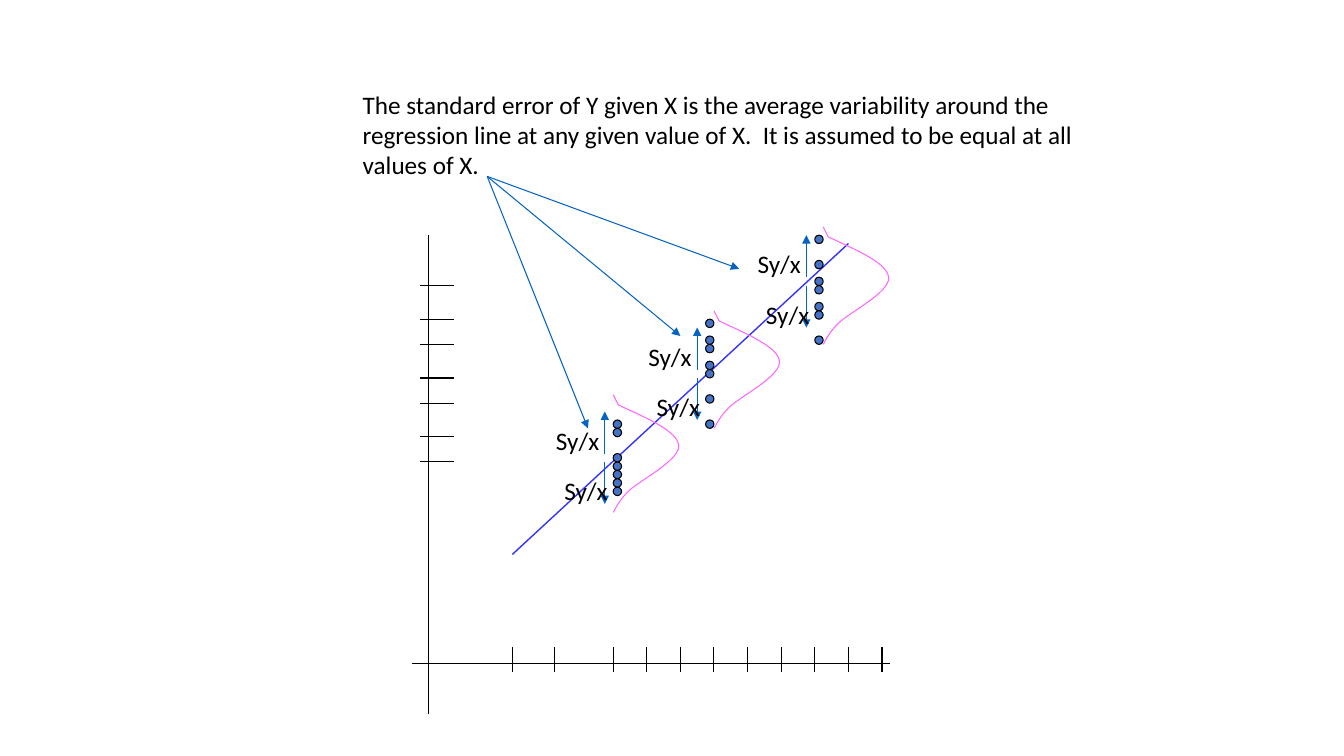
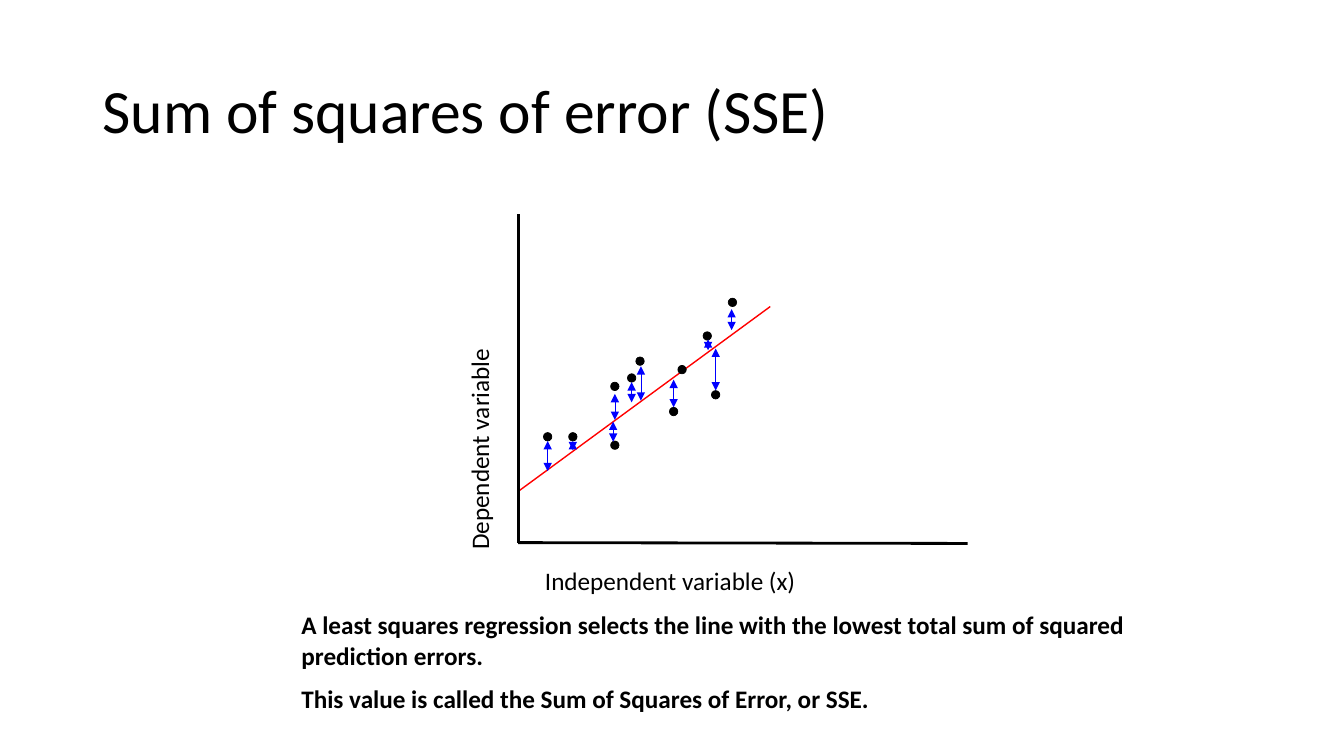
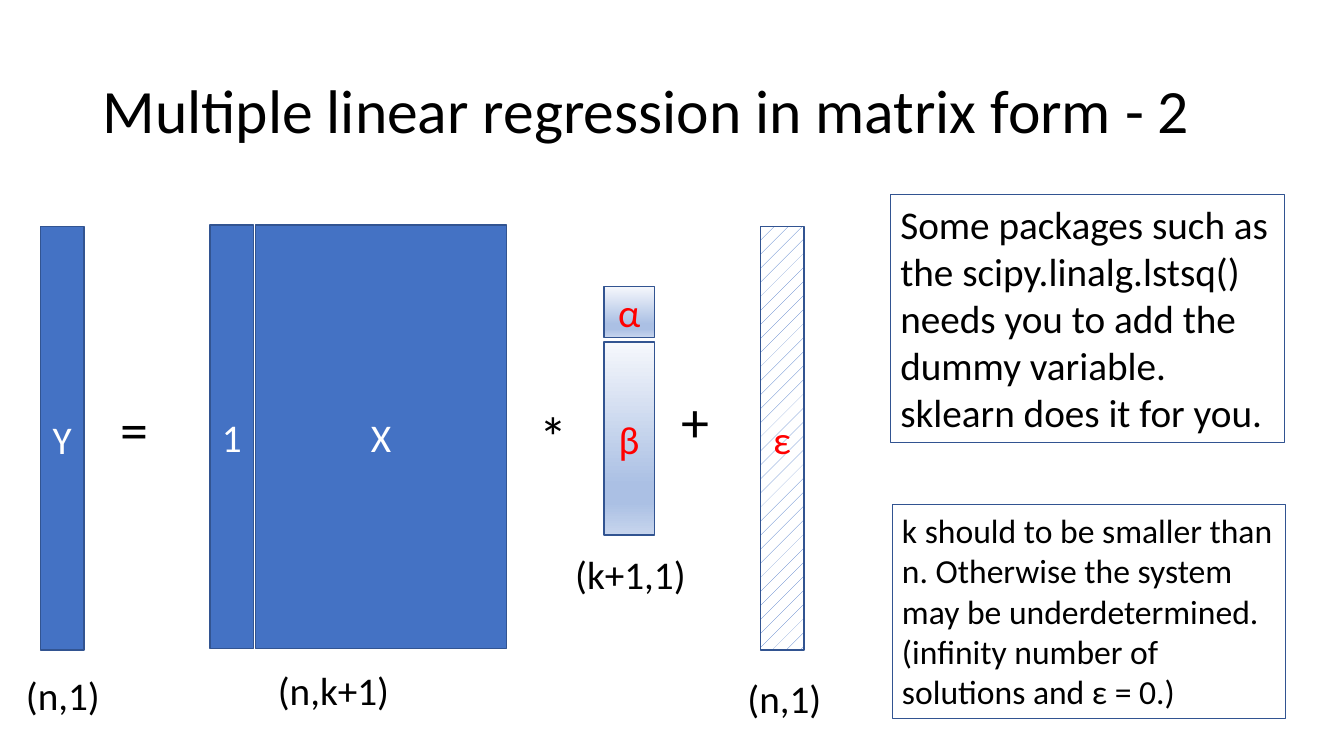
from dataclasses import dataclass

from lxml import etree
from pptx import Presentation
from pptx.dml.color import RGBColor
from pptx.enum.dml import MSO_PATTERN
from pptx.enum.shapes import MSO_CONNECTOR, MSO_SHAPE
from pptx.enum.text import MSO_ANCHOR, MSO_AUTO_SIZE, PP_ALIGN
from pptx.oxml.ns import qn
from pptx.util import Inches, Pt

STRAIGHT = MSO_CONNECTOR.STRAIGHT
OVAL, RECTANGLE = MSO_SHAPE.OVAL, MSO_SHAPE.RECTANGLE
DOTTED = MSO_PATTERN.PERCENT_5
TOP, MIDDLE = MSO_ANCHOR.TOP, MSO_ANCHOR.MIDDLE
LEFT, CENTER = PP_ALIGN.LEFT, PP_ALIGN.CENTER
NO_FIT = MSO_AUTO_SIZE.NONE
TITLE_ONLY, BLANK = 5, 6

# The page is a grid of 160 columns and 90 rows of square cells
COLUMNS, ROWS = 160, 90
CELL = Inches(1) / 12


@dataclass(frozen=True)
class Theme:
    font: str = "Calibri"
    title: int = 44
    operator: int = 40
    large: int = 28
    medium: int = 24
    body: int = 18
    black: str = "000000"
    white: str = "FFFFFF"
    red: str = "FF0000"
    fill: str = "4472C4"
    border: str = "325491"
    arrow: str = "0563C1"
    error: str = "0000FF"
    regression: str = "3333FF"
    bell: str = "FF66FF"
    gradient: tuple = ((0, "F6F8FC"), (74, "ABC0E4"), (83, "ABC0E4"), (100, "C7D5ED"))


THEME = Theme()


def cells(*counts):
    return [round(count * CELL) for count in counts]


def color(code):
    return RGBColor.from_string(code)


def style_line(line, code, width):
    line.color.rgb = color(code)
    line.width = Pt(width)


def style_text(frame, paragraphs, size, code, bold=False, align=LEFT, gap=0):
    frame.text = "\n".join(paragraphs)
    for index, para in enumerate(frame.paragraphs):
        para.alignment = align
        para.font.name = THEME.font
        para.font.size = Pt(size)
        para.font.bold = bold
        para.font.color.rgb = color(code)
        if index:
            para.space_before = Pt(gap)


def fill_gradient(shape):
    shape.fill.gradient()
    shape.fill.gradient_angle = 270
    stops = shape._element.spPr.find(qn("a:gradFill")).find(qn("a:gsLst"))
    for stop in list(stops):
        stops.remove(stop)
    for percent, code in THEME.gradient:
        stop = etree.SubElement(stops, qn("a:gs"), pos=str(percent * 1000))
        etree.SubElement(stop, qn("a:srgbClr"), val=code)


@dataclass
class Region:
    """Part of a page; its parts are placed in cells from its left and top."""
    page: object
    left: float = 0
    top: float = 0

    def place(self, x, y):
        return cells(self.left + x, self.top + y)

    def line(self, start, end, code=THEME.black, width=0.75, ends=()):
        shape = self.page.shapes.add_connector(
            STRAIGHT, *self.place(*start), *self.place(*end))
        style_line(shape.line, code, width)
        etree.SubElement(shape._element.spPr, qn("a:effectLst"))
        for name in ends:
            etree.SubElement(shape.line._get_or_add_ln(), qn(name), type="triangle")

    def shape(self, kind, x, y, width, height, border, weight):
        shape = self.page.shapes.add_shape(
            kind, *self.place(x, y), *cells(width, height))
        shape.shadow.inherit = False
        style_line(shape.line, border, weight)
        return shape

    def dot(self, x, y, code, weight):
        dot = self.shape(OVAL, x, y, 1, 1, THEME.black, weight)
        dot.fill.solid()
        dot.fill.fore_color.rgb = color(code)

    def text(self, x, y, width, height, *paragraphs, size=THEME.body,
             wrap=True, bold=False, gap=0):
        box = self.page.shapes.add_textbox(
            *self.place(x, y), *cells(width, height))
        box.text_frame.word_wrap = wrap
        style_text(box.text_frame, paragraphs, size, THEME.black, bold, gap=gap)
        return box


def add_page(deck, title=None):
    page = deck.slides.add_slide(deck.slide_layouts[TITLE_ONLY if title else BLANK])
    if title:
        holder = page.shapes.title
        holder.left, holder.top, holder.width, holder.height = cells(11, 4.8, 138, 17.4)
        frame = holder.text_frame
        style_text(frame, [title], THEME.title, THEME.black)
        frame.auto_size = NO_FIT
        frame.vertical_anchor = MIDDLE
        frame.paragraphs[0].line_spacing = 0.9
    return page


# Slide 1: spread around the regression line
BELL_START = (0.6, 1.2)
BELL_CURVES = (
    ((4, 2.8), (7.6, 4.3), (7.8, 6)),
    ((8, 7.8), (3.1, 10.2), (1.8, 11.5)),
    ((0.5, 12.8), (0.3, 13.6), (0, 14)),
)


def bell_points(steps=12):
    points, start = [BELL_START], BELL_START
    for first, second, end in BELL_CURVES:
        for step in range(1, steps + 1):
            t = step / steps
            s = 1 - t
            points.append(tuple(
                s**3 * a + 3 * s * s * t * b + 3 * s * t * t * c + t**3 * d
                for a, b, c, d in zip(start, first, second, end)))
        start = end
    return points


def add_bell(region):
    builder = region.page.shapes.build_freeform(*region.place(0, 0))
    builder.add_line_segments([region.place(*p) for p in bell_points()], close=False)
    bell = builder.convert_to_shape()
    bell.shadow.inherit = False
    bell.fill.background()
    style_line(bell.line, THEME.bell, 0.75)


def add_sample(page, left, top, dot_rows, bell_offset):
    """Values of Y at one X, with their bell curve and error arrows."""
    region = Region(page, left, top)
    for row in dot_rows:
        region.dot(1, row, THEME.fill, 0.75)
    add_bell(Region(page, left + bell_offset[0], top + bell_offset[1]))
    for start, end, label_x, label_y in ((5, 0, -7, 1), (6, 11, -6, 7)):
        region.line((0, start), (0, end), THEME.arrow, ends=["a:tailEnd"])
        region.text(label_x, label_y, 10, 4.8, "Sy/x")


def add_axes(region):
    region.line((0, 0), (0, 57))
    region.line((-2, 51), (55, 51))
    for column in (10, 15, *range(22, 55, 4)):
        region.line((column, 49), (column, 52))
    for row in (6, 10, 13, 17, 20, 24, 27):
        region.line((-1, row), (3, row))
    region.line((10, 38), (50, 1), THEME.regression, 1)


def build_standard_error(deck):
    page = add_page(deck)
    add_axes(Region(page, 51, 28))
    add_sample(page, 96, 28, (0, 3, 5, 6, 8, 9, 12), (2, -1))
    add_sample(page, 83, 39, (-1, 1, 2, 4, 5, 8, 11), (2, -2))
    add_sample(page, 72, 49, (1, 2, 5, 6, 7, 8, 9), (1, -2))
    # Explanation and its pointers
    region = Region(page, 42, 10)
    region.text(0, 0, 91, 12,
                "The standard error of Y given X is the average variability around the "
                "regression line at any given value of X.  It is assumed to be equal at "
                "all values of X.")
    for tip in ((46, 22), (39, 30), (28, 41)):
        region.line((16, 11), tip, THEME.arrow, ends=["a:tailEnd"])


# Slide 2: scatter plot with prediction errors
SCATTER = ((3, 26), (6, 26), (11, 27), (11, 20), (13, 19), (14, 17),
           (18, 23), (19, 18), (22, 14), (23, 21), (25, 10))
# Column, first row and last row of each error
ERRORS = ((3.5, 27, 30.6), (6.5, 27, 28.1), (11.3, 24.7, 27.1), (11.5, 21.4, 24.5),
          (13.5, 20, 22.4), (14.6, 18.1, 22.2), (18.5, 19.7, 23), (23.5, 16, 21),
          (25.4, 11.3, 13.8), (22.6, 14.9, 16.2))


def add_scatter(region):
    region.line((0, 33), (30, 11), THEME.red, 1)
    region.line((0, 0), (0, 39.1), width=2)
    region.line((0, 39.1), (53.5, 39.2), width=2)
    for column, row in SCATTER:
        region.dot(column, row, THEME.black, 0.5)
    for column, first, last in ERRORS:
        region.line((column, first), (column, last), THEME.error, 0.25,
                    ["a:headEnd", "a:tailEnd"])
    region.text(2, 41.2, 32.6, 4.8, "Independent variable (x)", wrap=False)
    region.text(-20.6, 22.8, 31.9, 4.8, "Dependent variable").rotation = 270


def build_squares_of_error(deck):
    page = add_page(deck, "Sum of squares of error (SSE)")
    add_scatter(Region(page, 61.7, 25.5))
    Region(page, 34.7, 72).text(
        0, 0, 103, 13.8,
        "A least squares regression selects the line with the lowest total sum of "
        "squared prediction errors.",
        "This value is called the Sum of Squares of Error, or SSE.", bold=True, gap=9)


# Slide 3: matrix equation
def add_matrix(region, name, x, y, width, height, look="solid"):
    block = region.shape(RECTANGLE, x, y, width, height, THEME.border, 1)
    if look == "gradient":
        fill_gradient(block)
    elif look == "pattern":
        block.fill.patterned()
        block.fill.pattern = DOTTED
        block.fill.fore_color.rgb = color(THEME.fill)
        block.fill.back_color.rgb = color(THEME.white)
    else:
        block.fill.solid()
        block.fill.fore_color.rgb = color(THEME.fill)
    block.text_frame.vertical_anchor = MIDDLE
    style_text(block.text_frame, [name], THEME.large,
               THEME.white if look == "solid" else THEME.red, align=CENTER)


def add_equation(region):
    # Matrices
    tall, narrow = 50.4, 5.2
    add_matrix(region, "Y", 0, 0.2, narrow, tall)
    add_matrix(region, "ε", 85.7, 0.2, narrow, tall, "pattern")
    add_matrix(region, "X", 25.6, 0, 29.9, tall)
    add_matrix(region, "1", 20.2, 0, narrow, tall)
    add_matrix(region, "β", 67.1, 13.9, 6, 23, "gradient")
    add_matrix(region, "α", 67.1, 7.3, 6, 6.1, "gradient")
    # Operators
    for sign, x, y in (("=", 8.4, 19.6), ("*", 58.2, 20.4), ("+", 75.2, 18.6)):
        region.text(x, y, 5.8, 9.2, sign, size=THEME.operator, wrap=False)
    # Dimensions
    for label, x, y, width in (("(n,1)", -2.9, 52.5, 11.4), ("(n,k+1)", 27.1, 51.9, 15.8),
                               ("(k+1,1)", 62.5, 38.1, 15.7), ("(n,1)", 83, 52.9, 11.4)):
        region.text(x, y, width, 6.8, label, size=THEME.large, wrap=False)


def add_remark(region, height, words, size):
    frame = region.shape(RECTANGLE, 0, 0, 46.9, height, THEME.border, 0.75)
    frame.fill.background()
    frame.text_frame.word_wrap = True
    frame.text_frame.vertical_anchor = TOP
    style_text(frame.text_frame, [words], size, THEME.black)


def build_matrix_form(deck):
    page = add_page(deck, "Multiple linear regression in matrix form - 2")
    add_equation(Region(page, 4.8, 26.8))
    add_remark(Region(page, 106, 23.2), 29.5,
               "Some packages such as the scipy.linalg.lstsq() needs you to add the "
               "dummy variable. sklearn does it for you.", THEME.large)
    add_remark(Region(page, 106.2, 60.1), 25.4,
               "k should to be smaller than n. Otherwise the system may be "
               "underdetermined. (infinity number of solutions and ε = 0.)", THEME.medium)


def main():
    deck = Presentation()
    deck.slide_width, deck.slide_height = cells(COLUMNS, ROWS)
    build_standard_error(deck)
    build_squares_of_error(deck)
    build_matrix_form(deck)
    deck.save("out.pptx")


if __name__ == "__main__":
    main()
